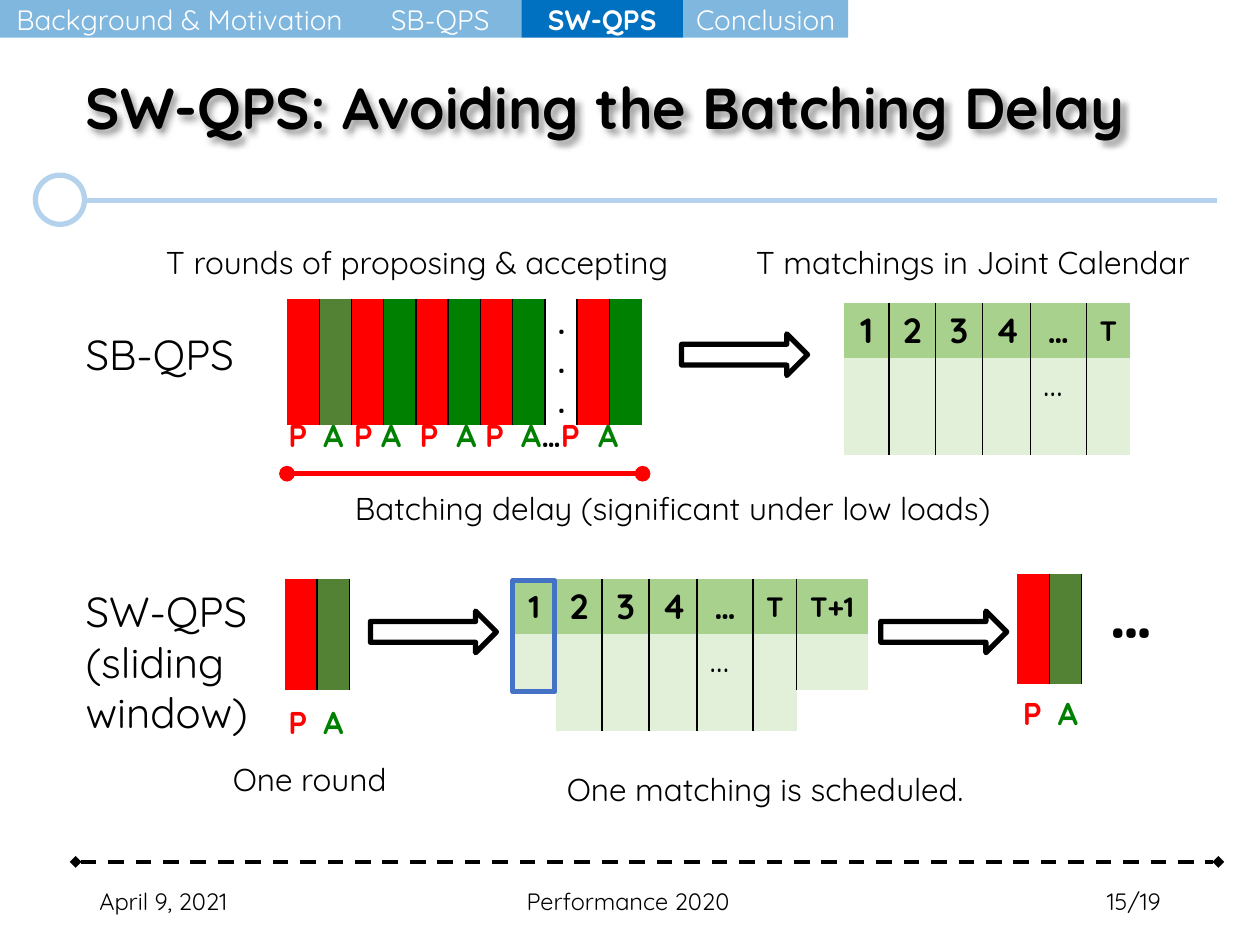
from lxml import etree
from pptx import Presentation
from pptx.dml.color import RGBColor
from pptx.enum.dml import MSO_LINE
from pptx.enum.shapes import MSO_CONNECTOR as Connector, MSO_SHAPE as Preset
from pptx.enum.text import MSO_ANCHOR as Anchor, PP_ALIGN as Align
from pptx.oxml.ns import qn
from pptx.util import Pt

THEME = {
    "font": "Quicksand",
    "black": "000000", "white": "FFFFFF", "rule": "B5D2EC",
    "tab": "7FB7DF", "active": "0070C0", "window": "4472C4",
    "red": "FF0000", "green": "008000", "olive": "548235",
    "head": "A9D18E", "body": "E2F0D9",
    "title": 33, "label": 24, "cell": 20, "text": 18, "small": 16,
    "footer": 13.5, "more": 40,
}

# Content: places and lengths in points
TITLE = "SW-QPS: Avoiding the Batching Delay"
SECTIONS = [("Background & Motivation", 205.2), ("SB-QPS", 92.7),
            ("SW-QPS", 92.5), ("Conclusion", 94.3)]
ACTIVE_SECTION = "SW-QPS"
FOOTERS = [("April 9, 2021", 49.7, 162, Align.LEFT),
           ("Performance 2020", 173.5, 370.8, Align.CENTER),
           ("15/19", 508.3, 162, Align.RIGHT)]
CAPTIONS = [("T rounds of proposing & accepting", 87.8, 135.4),
            ("T matchings in Joint Calendar", 424.8, 135.4),
            ("Batching delay (significant under low loads)", 195.8, 275.8),
            ("One round", 126, 430.6),
            ("One matching is scheduled.", 316.8, 436.3)]
ROW_LABELS = [(["SB-QPS"], 184.3, 36), (["SW-QPS", "(sliding window)"], 331.2, 94)]
ARROWS = [(389.5, 190.8), (211.7, 349.2), (503.3, 349.2)]
BATCH_COLORS = ["red", "olive"] + ["red", "green"] * 3 + ["white", "red", "green"]
CALENDARS = [  # left, top, headings, column widths, body height
    (482.4, 173.3, ["1", "2", "3", "4", "…", "T"], [25.7, 26.5, 26.9, 27.4, 32, 25], 55.5),
    (317.6, 331, ["2", "3", "4", "…", "T"], [26.5, 26.9, 27.4, 32, 25], 55.5),
    (293, 331, ["1"], [24.7], 32),
    (455.2, 331, ["T+1"], [40.6], 32),
]
HEADING_SIZES = {"T": "small", "T+1": "small"}
ROUNDS = [(162.8, 331), (581.2, 327.8)]
ROUND_LABELS = [(157.7, 398.2), (577.4, 393.1)]
BATCH_LABELS = ["P", "\tA", "\tP", "\tA", "\tP", "\tA", "\tP", "\tA", "…", "P", "\tA"]
BATCH_TABS = [20, 37.5, 53, 75, 96, 112.5, 133, 177]
LABEL_COLORS = {"P": "red", "A": "green", "…": "black"}

presentation = Presentation()
presentation.slide_width, presentation.slide_height = Pt(720), Pt(540)
slide = presentation.slides.add_slide(presentation.slide_layouts[5])
shapes = slide.shapes


def rgb(name):
    return RGBColor.from_string(THEME[name])


def child(parent, tag, **attributes):
    return etree.SubElement(parent, qn(tag), attributes)


def add_run(paragraph, text, size="text", color="black", bold=False):
    run = paragraph.add_run()
    run.text = text
    style = {"name": THEME["font"], "size": Pt(THEME[size]), "bold": bold}
    for name, value in style.items():
        setattr(run.font, name, value)
    run.font.color.rgb = rgb(color)


def write(frame, lines, align=Align.LEFT, **style):
    for index, line in enumerate(lines):
        paragraph = frame.add_paragraph() if index else frame.paragraphs[0]
        paragraph.alignment = align
        add_run(paragraph, line, **style)


def text_box(left, top, width, height, lines=(), wrap=True, anchor=Anchor.TOP, **style):
    frame = shapes.add_textbox(Pt(left), Pt(top), Pt(width), Pt(height)).text_frame
    frame.word_wrap, frame.vertical_anchor = wrap, anchor
    write(frame, lines, **style)
    return frame


def preset(kind, left, top, width, height, fill=None, line=None):
    shape = shapes.add_shape(kind, Pt(left), Pt(top), Pt(width), Pt(height))
    shape.shadow.inherit = False
    if fill:
        shape.fill.solid()
        shape.fill.fore_color.rgb = rgb(fill)
    else:
        shape.fill.background()
    if line:
        shape.line.color.rgb, shape.line.width = rgb(line), Pt(3)
    else:
        shape.line.fill.background()
    return shape


def add_shadow(effects, blur, distance, angle, alpha):
    shadow = child(effects, "a:outerShdw", blurRad=str(Pt(blur)), dist=str(Pt(distance)),
                   dir=str(angle * 60000), algn="tl", rotWithShape="0")
    color = child(shadow, "a:srgbClr", val=THEME["black"])
    child(color, "a:alpha", val=str(alpha * 1000))


def rule(left, right, y, color, width, ends=None):
    line = shapes.add_connector(Connector.STRAIGHT, Pt(left), Pt(y), Pt(right), Pt(y))
    line.line.color.rgb, line.line.width = rgb(color), Pt(width)
    if ends:
        for tag in ("a:headEnd", "a:tailEnd"):
            child(line.line._get_or_add_ln(), tag, type=ends)
    return line, child(line._element.spPr, "a:effectLst")


def add_borders(cell, sides):
    properties = cell._tc.get_or_add_tcPr()
    for index, side in enumerate(("L", "R", "T", "B")):
        border = etree.Element(qn(f"a:ln{side}"), w=str(Pt(1)))
        if side in sides:
            child(child(border, "a:solidFill"), "a:srgbClr", val=THEME["black"])
        else:
            child(border, "a:noFill")
        properties.insert(index, border)


def add_table(left, top, widths, heights, fills, left_edge=False, right_edge=False):
    frame = shapes.add_table(len(heights), len(widths), Pt(left), Pt(top),
                             Pt(sum(widths)), Pt(sum(heights)))
    table = frame.table
    table.first_row = table.horz_banding = False
    for column, width in zip(table.columns, widths):
        column.width = Pt(width)
    for row, height, colors in zip(table.rows, heights, fills):
        row.height = Pt(height)
        for index, (cell, color) in enumerate(zip(row.cells, colors)):
            cell.fill.solid()
            cell.fill.fore_color.rgb = rgb(color)
            cell.margin_top = cell.margin_bottom = Pt(2)
            add_borders(cell, ("L" if index or left_edge else "")
                        + ("R" if index < len(widths) - 1 or right_edge else ""))
    return table


# Title and its rule
rule(49.7, 695.5, 114.5, "rule", 3)
preset(Preset.OVAL, 20.2, 100.1, 28.1, 28.1, "white", "rule")
title = shapes.title
title.left, title.top, title.width, title.height = Pt(41.8), Pt(8.6), Pt(620.6), Pt(104.4)
title.text_frame.vertical_anchor = Anchor.MIDDLE
write(title.text_frame, [TITLE], size="title", bold=True)
add_shadow(child(title._element.spPr, "a:effectLst"), 4, 3, 45, 40)

# Footer
dashes, effects = rule(43.2, 696.2, 492.5, "black", 2.25, "diamond")
dashes.line.dash_style = MSO_LINE.DASH
add_shadow(effects, 43, 36, 90, 4)
for text, left, width, align in FOOTERS:
    text_box(left, 500.4, width, 28.8, [text], anchor=Anchor.MIDDLE, align=align, size="footer")

# Captions, row labels and arrows
for text, left, top in CAPTIONS:
    text_box(left, top, 528.5, 29, [text])
for lines, top, height in ROW_LABELS:
    text_box(41.8, top, 108.7, height, lines, size="label")
for left, top in ARROWS:
    preset(Preset.RIGHT_ARROW, left, top, 72, 23.8, "white", "black")
text_box(627.1, 321.1, 54.7, 55.4, ["…"], wrap=False, size="more", bold=True)

# Batch of rounds and its delay
batch = add_table(164, 171, [18.45] * len(BATCH_COLORS), [72], [BATCH_COLORS])
write(batch.cell(0, BATCH_COLORS.index("white")).text_frame, ["."] * 3, bold=True)
rule(164, 367.2, 270.7, "red", 3, "oval")

# Single rounds
for left, top in ROUNDS:
    add_table(left, top, [18.4] * 2, [63.3], [["red", "olive"]], right_edge=True)

# Labels under the rounds
LABEL_ROWS = [(157.7, 234, 221.8, BATCH_LABELS, BATCH_TABS)]
LABEL_ROWS += [(left, top, 53.3, BATCH_LABELS[:2], BATCH_TABS[:1]) for left, top in ROUND_LABELS]
for left, top, width, labels, stops in LABEL_ROWS:
    paragraph = text_box(left, top, width, 29, wrap=False).paragraphs[0]
    tab_list = child(paragraph._p.get_or_add_pPr(), "a:tabLst")
    for stop in stops:
        child(tab_list, "a:tab", pos=str(Pt(stop)), algn="l")
    for label in labels:
        add_run(paragraph, label, color=LABEL_COLORS[label.strip()], bold=True)

# Calendars of matchings
for left, top, headings, widths, body_height in CALENDARS:
    count = len(headings)
    calendar = add_table(left, top, widths, [31.2, body_height],
                         [["head"] * count, ["body"] * count], left_edge=headings == ["T+1"])
    for index, heading in enumerate(headings):
        cell = calendar.cell(0, index)
        cell.vertical_anchor = Anchor.MIDDLE
        size = "text" if count == 1 and heading == "1" else "cell"
        write(cell.text_frame, [heading], align=Align.CENTER, bold=True,
              size=HEADING_SIZES.get(heading, size))
        if heading == "…":
            write(calendar.cell(1, index).text_frame, [heading], size="cell")
preset(Preset.RECTANGLE, 293, 331.9, 24, 63.4, line="window")

# Section bar
left = 0
for name, width in SECTIONS:
    active = name == ACTIVE_SECTION
    section = preset(Preset.RECTANGLE, left, 0, width, 21.6, "active" if active else "tab")
    frame = section.text_frame
    frame.margin_left = frame.margin_right = 0
    frame.vertical_anchor = Anchor.MIDDLE
    write(frame, [name], align=Align.CENTER, size="small", color="white", bold=active)
    left += width

presentation.save("out.pptx")
